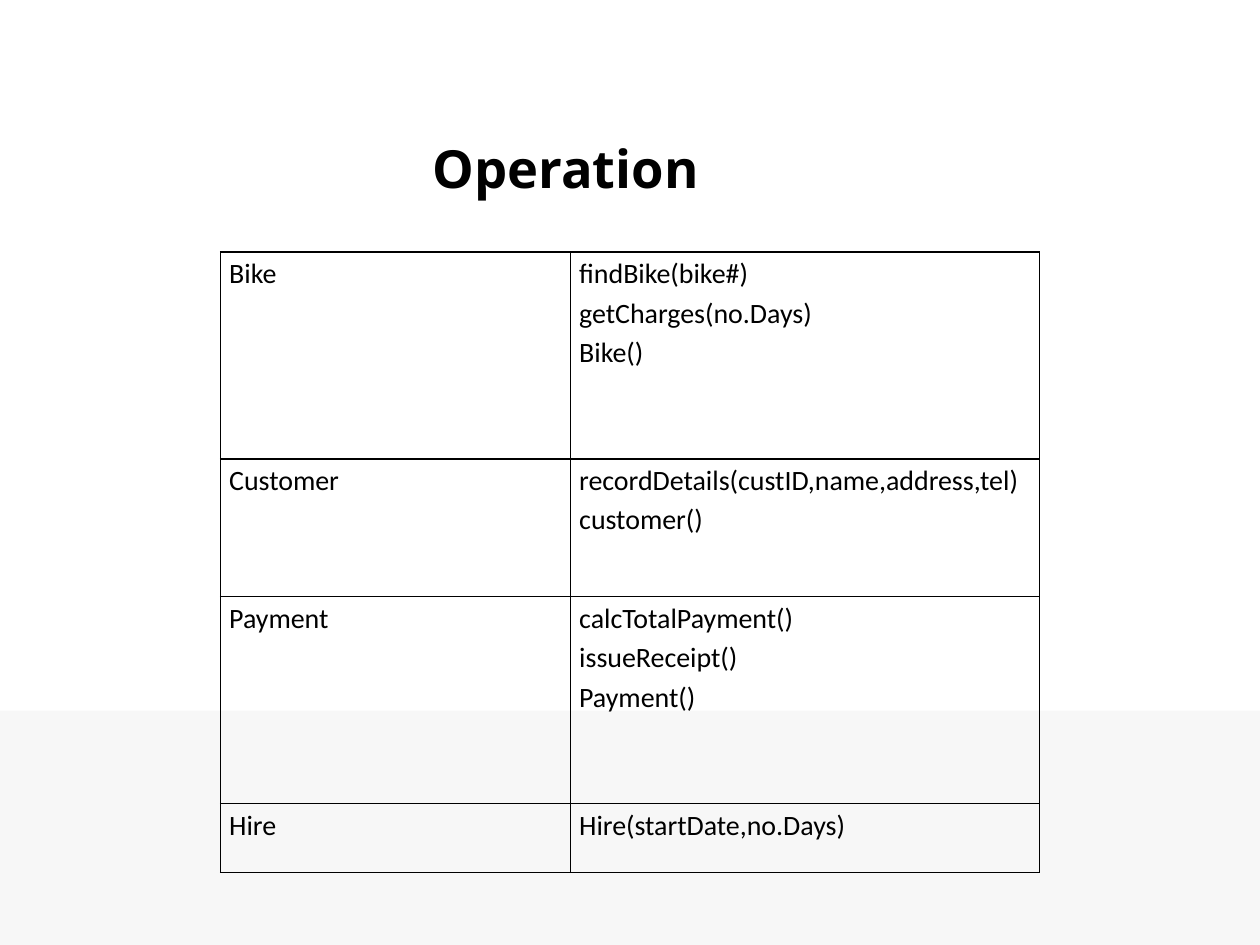
"""Build the slide that lists the operations of each class."""
from lxml.etree import SubElement
from pptx import Presentation
from pptx.dml.color import RGBColor
from pptx.enum.shapes import MSO_SHAPE
from pptx.enum.text import MSO_ANCHOR, PP_ALIGN
from pptx.oxml.ns import qn
from pptx.util import Pt

TITLE = "Operation"
ROWS = [
    ("Bike", ["findBike(bike#)", "getCharges(no.Days)", "Bike()"]),
    ("Customer", ["recordDetails(custID,name,address,tel)", "customer()"]),
    ("Payment", ["calcTotalPayment()", "issueReceipt()", "Payment()"]),
    ("Hire", ["Hire(startDate,no.Days)"]),
]
BLACK = RGBColor(0, 0, 0)
WHITE = RGBColor(0xFF, 0xFF, 0xFF)
PALE = RGBColor(0xF7, 0xF7, 0xF7)
WIDE, HIGH = 720, 540
BAND = 406
COLS = (200, 268)
STEP = 39.4


def style(para, name, size, bold=False):
    para.alignment = PP_ALIGN.LEFT
    font = para.font
    font.name, font.size, font.bold = name, Pt(size), bold
    font.color.rgb = BLACK


def border(cell):
    props = cell._tc.get_or_add_tcPr()
    for side in ("a:lnL", "a:lnR", "a:lnT", "a:lnB"):
        line = SubElement(props, qn(side), w=str(Pt(1)))
        fill = SubElement(line, qn("a:solidFill"))
        SubElement(fill, qn("a:srgbClr"), val=str(BLACK))


def write(cell, lines):
    border(cell)
    cell.fill.background()
    cell.margin_left = cell.margin_right = Pt(5)
    cell.margin_top = cell.margin_bottom = 0
    cell.text = "\n".join(lines)
    for para in cell.text_frame.paragraphs:
        style(para, "Calibri", 16)
        para.line_spacing = 1.15


def main():
    deck = Presentation()
    deck.slide_width, deck.slide_height = Pt(WIDE), Pt(HIGH)
    slide = deck.slides.add_slide(deck.slide_layouts[5])
    slide.background.fill.solid()
    slide.background.fill.fore_color.rgb = WHITE

    band = slide.shapes.add_shape(
        MSO_SHAPE.RECTANGLE, 0, Pt(BAND), Pt(WIDE), Pt(HIGH - BAND))
    band.shadow.inherit = False
    band.fill.solid()
    band.fill.fore_color.rgb = PALE
    band.line.fill.background()

    title = slide.shapes.title
    title.left, title.top = Pt(240), Pt(72)
    title.width, title.height = Pt(444), Pt(48)
    title.text_frame.text = TITLE
    title.text_frame.vertical_anchor = MSO_ANCHOR.MIDDLE
    style(title.text_frame.paragraphs[0], "Open Sans", 30, True)

    total = STEP * sum(len(calls) for _, calls in ROWS)
    table = slide.shapes.add_table(
        len(ROWS), len(COLS), Pt(126), Pt(144), Pt(sum(COLS)), Pt(total)).table
    table.first_row = table.horz_banding = False
    for col, width in zip(table.columns, COLS):
        col.width = Pt(width)
    for row, (name, calls) in zip(table.rows, ROWS):
        row.height = Pt(STEP * len(calls))
        write(row.cells[0], [name])
        write(row.cells[1], calls)

    deck.save("out.pptx")


if __name__ == "__main__":
    main()
